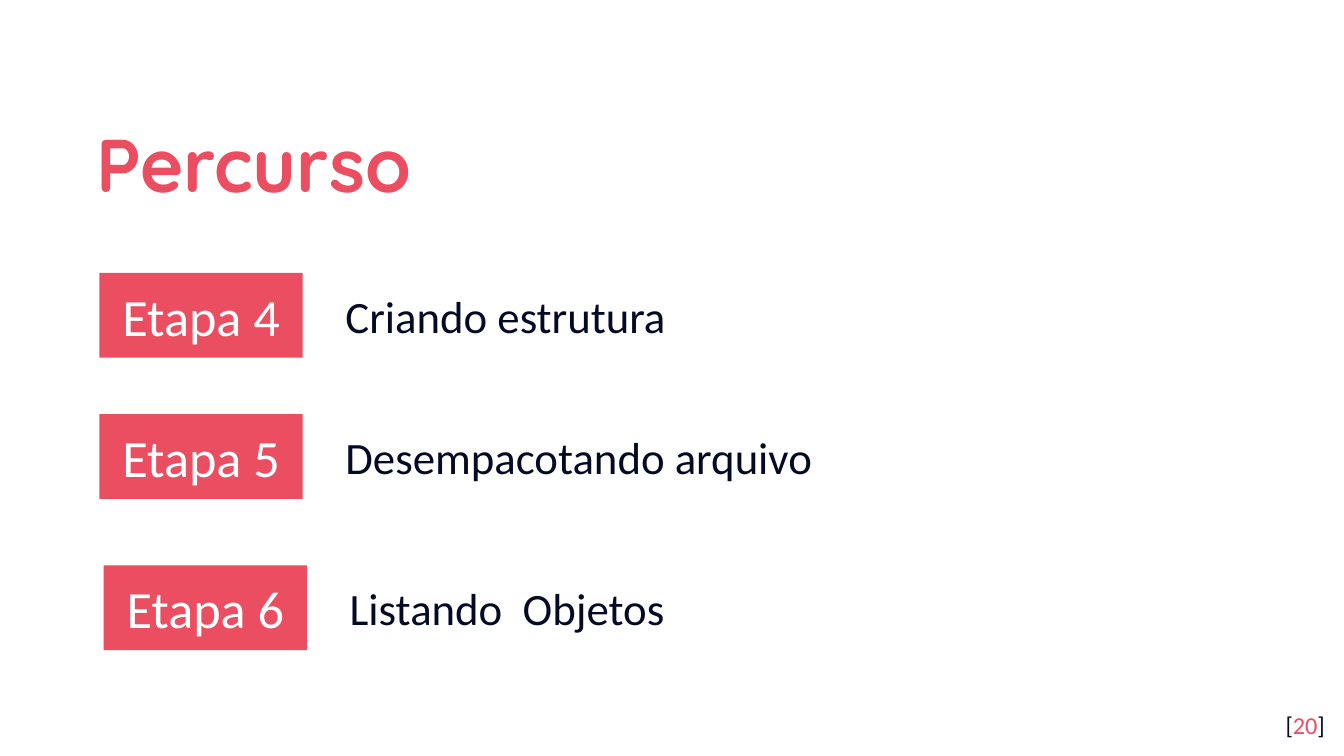
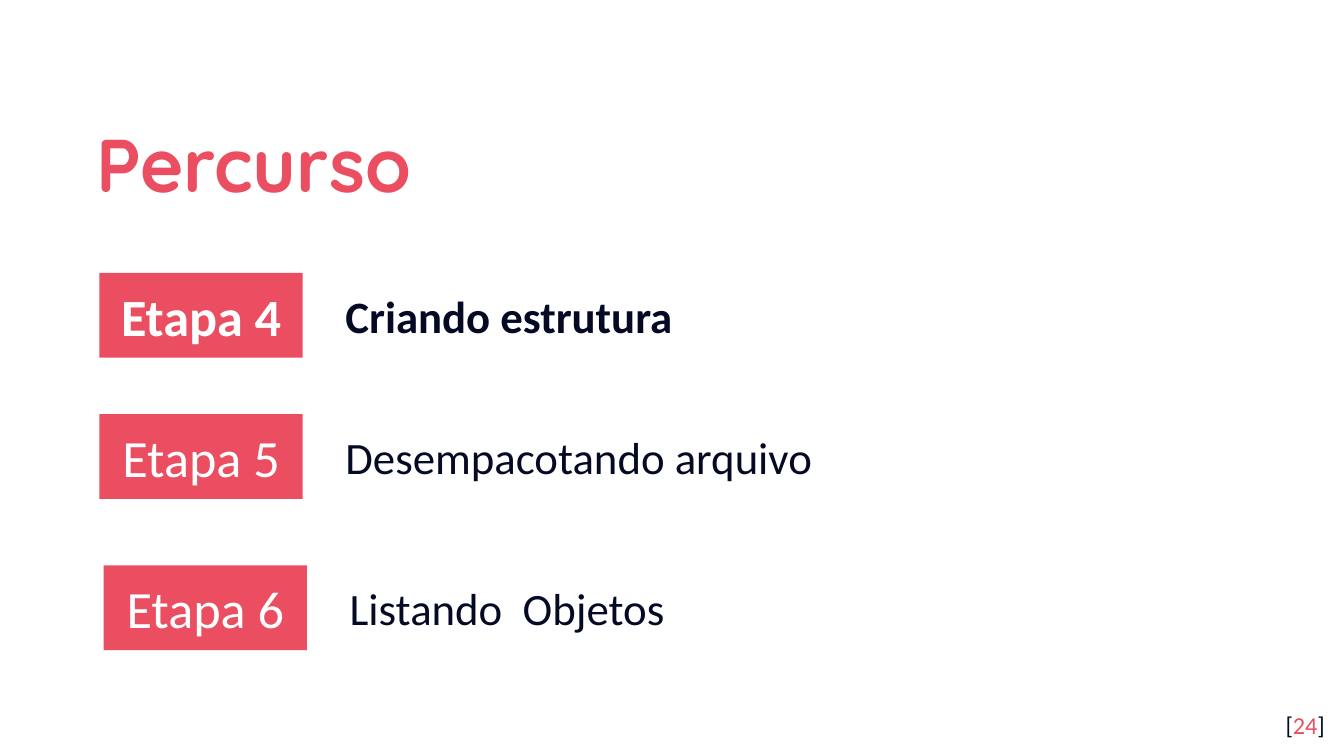
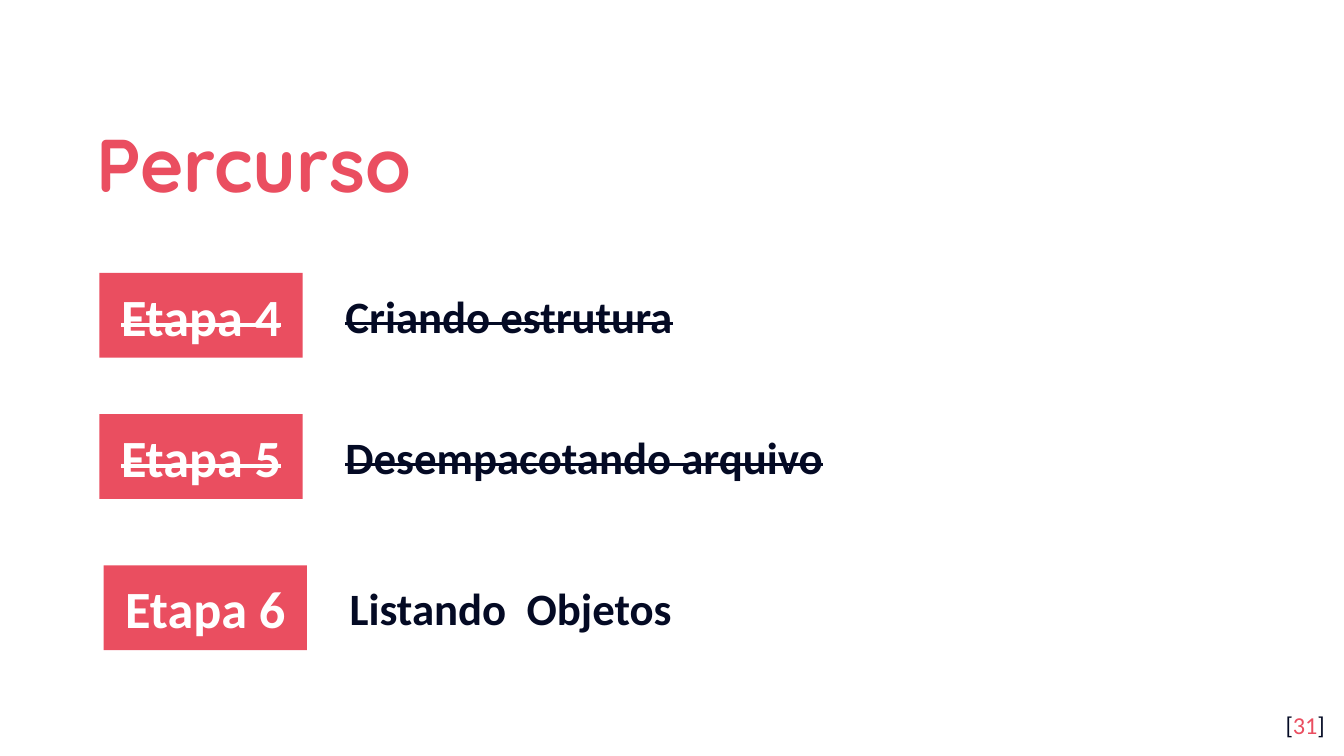
from pptx import Presentation
from pptx.dml.color import RGBColor
from pptx.enum.shapes import MSO_SHAPE
from pptx.enum.text import MSO_ANCHOR, MSO_AUTO_SIZE, PP_ALIGN
from pptx.util import Cm, Pt

LEFT, CENTER, RIGHT = PP_ALIGN.LEFT, PP_ALIGN.CENTER, PP_ALIGN.RIGHT
TOP, MIDDLE = MSO_ANCHOR.TOP, MSO_ANCHOR.MIDDLE
RECTANGLE = MSO_SHAPE.RECTANGLE
NO_AUTOFIT = MSO_AUTO_SIZE.NONE

COLORS = {"accent": "EA4E60", "dark": "040A24", "white": "FFFFFF"}

# Each step: label, description, left, top
STEPS = [
    ("Etapa 4", "Criando estrutura", 1.88, 5.16),
    ("Etapa 5", "Desempacotando arquivo", 1.88, 7.83),
    ("Etapa 6", "Listando  Objetos", 1.96, 10.69),
]

# Each slide: page number, steps in bold, steps struck out
PROGRESS = [("20", 0, 0), ("24", 1, 0), ("31", 3, 2)]


def write(shape, parts, size, font="Calibri", align=LEFT, anchor=TOP,
          inset=0.25, bold=False, strike=False, hanging=0, spacing=None):
    """Fill a shape with one paragraph of (text, colour) parts."""
    frame = shape.text_frame
    frame.word_wrap = True
    frame.auto_size = NO_AUTOFIT
    frame.vertical_anchor = anchor
    frame.margin_left = frame.margin_right = Cm(0.25)
    frame.margin_top = frame.margin_bottom = Cm(inset)
    paragraph = frame.paragraphs[0]
    paragraph.alignment = align
    if spacing:
        paragraph.line_spacing = spacing
    if hanging:
        properties = paragraph._p.get_or_add_pPr()
        properties.set("marL", str(Cm(hanging)))
        properties.set("indent", str(-Cm(hanging)))
    for text, color in parts:
        run = paragraph.add_run()
        run.text = text
        run.font.name = font
        run.font.size = Pt(size)
        run.font.bold = bold
        run.font.color.rgb = RGBColor.from_string(COLORS[color])
        if strike:
            run._r.get_or_add_rPr().set("strike", "sngStrike")


prs = Presentation()
prs.slide_width, prs.slide_height = Cm(25.4), Cm(14.29)
title_only = prs.slide_layouts[5]

for page, bold_steps, struck_steps in PROGRESS:
    slide = prs.slides.add_slide(title_only)
    shapes = slide.shapes

    # Title
    title = shapes.title
    title.left, title.top = Cm(1.57), Cm(1.78)
    title.width, title.height = Cm(20.57), Cm(2.34)
    write(title, [("Percurso", "accent")], 40, font="Quicksand",
          anchor=MIDDLE, bold=True, spacing=1.15)

    # Steps
    for index, (label, description, left, top) in enumerate(STEPS):
        state = {"bold": index < bold_steps, "strike": index < struck_steps}

        step_box = shapes.add_shape(RECTANGLE, Cm(left), Cm(top), Cm(3.84), Cm(1.6))
        step_box.shadow.inherit = False
        step_box.fill.solid()
        step_box.fill.fore_color.rgb = RGBColor.from_string(COLORS["accent"])
        step_box.line.fill.background()
        write(step_box, [(label, "white")], 28, align=CENTER, anchor=MIDDLE, **state)

        step_text = shapes.add_textbox(Cm(left + 4.4), Cm(top + 0.16), Cm(17.15), Cm(1.27))
        write(step_text, [(description, "dark")], 24, inset=0.13, hanging=1.27, **state)

    # Page number
    page_number = shapes.add_textbox(Cm(23.77), Cm(13.18), Cm(1.52), Cm(1.09))
    write(page_number, [("[", "dark"), (page, "accent"), ("]", "dark")], 13, align=RIGHT)

prs.save("out.pptx")
